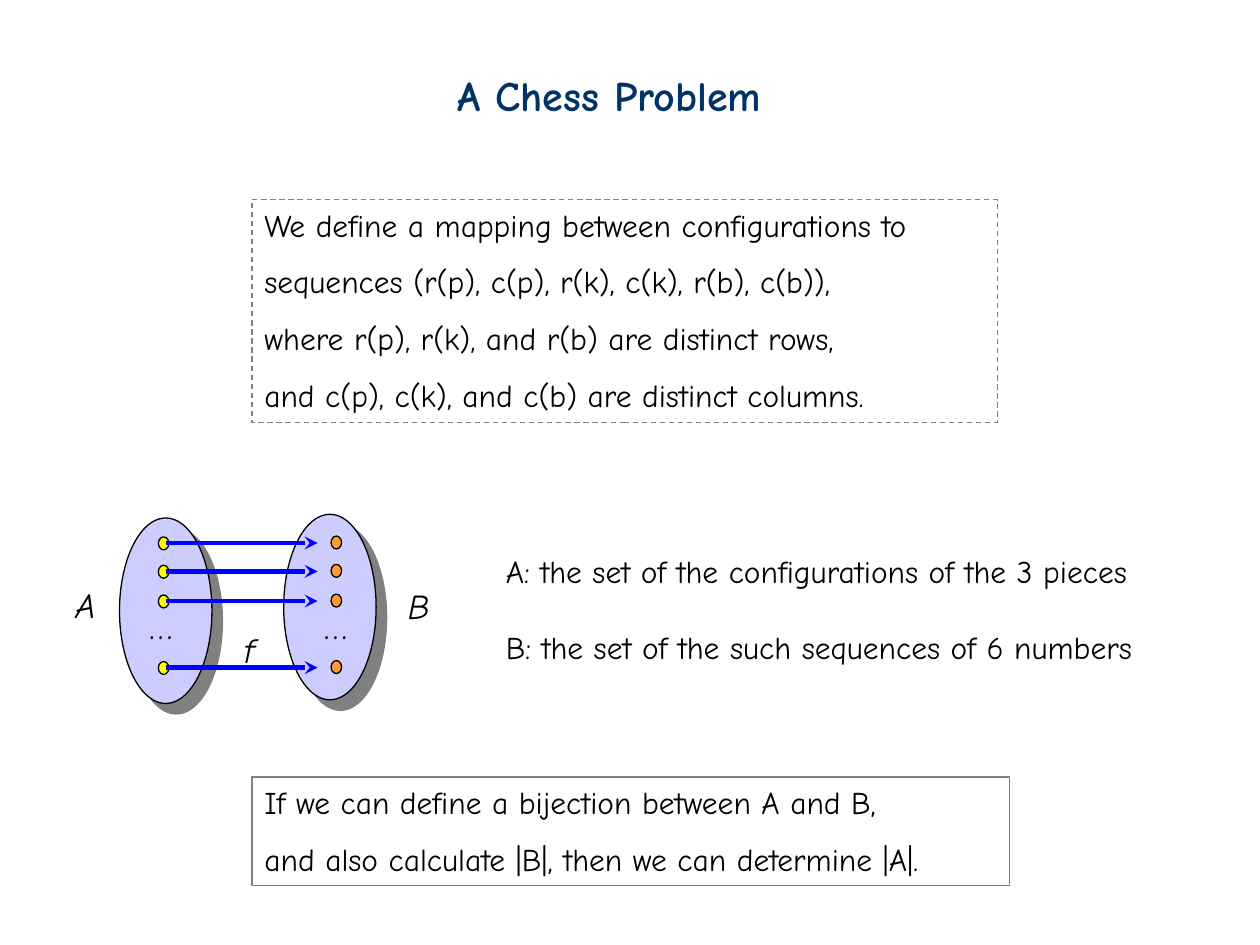
from lxml.etree import SubElement
from pptx import Presentation
from pptx.dml.color import RGBColor
from pptx.enum.dml import MSO_LINE_DASH_STYLE as Dash
from pptx.enum.shapes import MSO_CONNECTOR as Connector, MSO_SHAPE as Shape
from pptx.enum.text import MSO_ANCHOR as Anchor, PP_ALIGN as Align
from pptx.oxml.ns import qn
from pptx.util import Pt

FONT = "Comic Neue"
BLACK, GRAY, NAVY, BLUE = "000000", "808080", "003366", "0000FF"
LILAC, YELLOW, ORANGE = "CCCCFF", "FFFF00", "FF9933"


def color(value):
    return RGBColor.from_string(value)


def points(*lengths):
    return [Pt(length) for length in lengths]


def write(shape, lines, size, ink=BLACK, spacing=None, gap=0,
          align=Align.LEFT, bold=False, italic=False, wrap=True):
    """Fill a shape with lines; spacing and gap apply after the first line."""
    frame = shape.text_frame
    frame.text = "\n".join(lines)
    frame.word_wrap = wrap
    frame.vertical_anchor = Anchor.TOP
    for index, para in enumerate(frame.paragraphs):
        para.alignment = align
        if index:
            para.line_spacing = spacing
            para.space_before = Pt(gap)
        for span in para.runs:
            font = span.font
            font.name, font.size = FONT, Pt(size)
            font.bold, font.italic = bold, italic
            font.color.rgb = color(ink)


def add_title(slide, text):
    title = slide.shapes.title
    title.left, title.top, title.width, title.height = points(254, 36, 208, 36)
    write(title, [text], 24, NAVY, bold=True)


def add_label(slide, left, top, width, text, **style):
    box = slide.shapes.add_textbox(*points(left, top, width, 31))
    write(box, [text], 20, wrap=False, **style)


def add_outlined(slide, kind, bounds, line, fill=None):
    shape = slide.shapes.add_shape(kind, *points(*bounds))
    shape.shadow.inherit = False
    shape.line.color.rgb = color(line)
    shape.line.width = Pt(0.75)
    if fill:
        shape.fill.solid()
        shape.fill.fore_color.rgb = color(fill)
    else:
        shape.fill.background()
    return shape


def add_frame(slide, bounds, lines, dash=None):
    frame = add_outlined(slide, Shape.RECTANGLE, bounds, GRAY)
    frame.line.dash_style = dash
    write(frame, lines, 18, spacing=1.5)


def add_set(slide, left, top):
    """Draw the oval of a set with a hard drop shadow."""
    oval = add_outlined(slide, Shape.OVAL, (left, top, 52.8, 106), BLACK, LILAC)
    effects = oval._element.spPr.find(qn("a:effectLst"))
    shadow = SubElement(effects, qn("a:outerShdw"), blurRad="0",
                        dist=str(Pt(8.5)), dir="2700000", rotWithShape="0")
    SubElement(shadow, qn("a:srgbClr"), val=GRAY)


def add_dot(slide, left, top, fill):
    add_outlined(slide, Shape.OVAL, (left, top, 6, 7.4), BLACK, fill)


def add_arrow(slide, left, right, y):
    arrow = slide.shapes.add_connector(
        Connector.STRAIGHT, *points(left, y, right, y))
    arrow.line.color.rgb = color(BLUE)
    arrow.line.width = Pt(2.5)
    SubElement(arrow.line._get_or_add_ln(), qn("a:tailEnd"), type="stealth")
    SubElement(arrow._element.spPr, qn("a:effectLst"))


def add_mapping(slide):
    add_set(slide, 68.3, 296)
    add_set(slide, 162.1, 293.9)
    add_label(slide, 36, 330, 29, "A", italic=True)
    add_label(slide, 226, 330.5, 27.5, "B", italic=True)
    for left in (77.8, 177.8):
        add_label(slide, left, 342, 28, "…", align=Align.CENTER)
    for center in (310.3, 326.5, 343.5, 381.5):
        add_dot(slide, 90.5, center - 3.5, YELLOW)
        add_dot(slide, 189.2, center - 4, ORANGE)
        add_arrow(slide, 94.8, 181.5, center)
    add_label(slide, 132.5, 355.7, 24.5, "f", italic=True)


def main():
    deck = Presentation()
    deck.slide_width, deck.slide_height = points(720, 540)
    slide = deck.slides.add_slide(deck.slide_layouts[5])

    add_title(slide, "A Chess Problem")
    add_frame(slide, (144, 114, 426, 127.3), [
        "We define a mapping between configurations to",
        "sequences (r(p), c(p), r(k), c(k), r(b), c(b)),",
        "where r(p), r(k), and r(b) are distinct rows,",
        "and c(p), c(k), and c(b) are distinct columns.",
    ], Dash.DASH)
    add_mapping(slide)
    legend = slide.shapes.add_textbox(*points(282, 312, 415.5, 72))
    write(legend, [
        "A: the set of the configurations of the 3 pieces",
        "B: the set of the such sequences of 6 numbers",
    ], 18, gap=21.7)
    add_frame(slide, (144, 444, 433, 62), [
        "If we can define a bijection between A and B,",
        "and also calculate |B|, then we can determine |A|.",
    ])
    deck.save("out.pptx")


if __name__ == "__main__":
    main()
